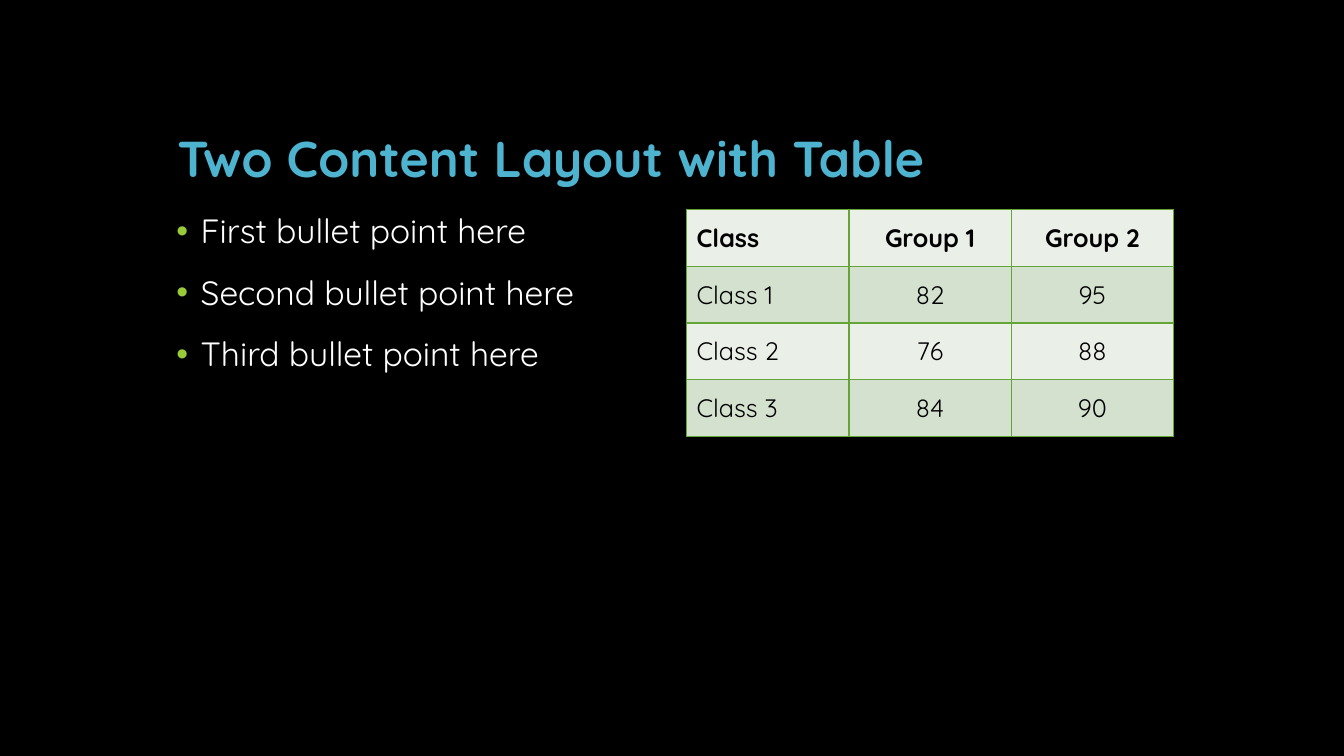
from lxml.etree import SubElement
from pptx import Presentation
from pptx.dml.color import RGBColor
from pptx.enum.text import MSO_ANCHOR as Anchor, MSO_AUTO_SIZE as AutoSize, PP_ALIGN as Align
from pptx.oxml.ns import qn
from pptx.util import Inches, Pt

BORDER = "63A537"
ROW_FILLS = ["EAF0E8", "D3E1CE"]


def paint(fill, color):
    fill.solid()
    fill.fore_color.rgb = RGBColor.from_string(color)


def add_run(paragraph, text, size, color, bold=False):
    run = paragraph.add_run()
    run.text = text
    run.font.name = "Quicksand"
    run.font.size = Pt(size)
    run.font.bold = bold
    paint(run.font.fill, color)


# Slide with a black background
deck = Presentation()
deck.slide_width, deck.slide_height = Inches(13.33), Inches(7.5)
slide = deck.slides.add_slide(deck.slide_layouts[1])
paint(slide.background.fill, "000000")

# Title
title = slide.shapes.title
title.left, title.top = Inches(1.66), Inches(0.42)
title.width, title.height = Inches(10), Inches(1.5)
title.text_frame.auto_size = AutoSize.NONE
title.text_frame.vertical_anchor = Anchor.BOTTOM
heading = title.text_frame.paragraphs[0]
heading.alignment = Align.LEFT
heading.line_spacing = 0.9
add_run(heading, "Two Content Layout with Table", 36, "4EB3CF", bold=True)

# Bullet list
points = slide.placeholders[1]
points.left, points.top = Inches(1.65), Inches(2.08)
points.width, points.height = Inches(4.83), Inches(4.5)
points.text_frame.auto_size = AutoSize.NONE
for i, ordinal in enumerate(["First", "Second", "Third"]):
    point = points.text_frame.add_paragraph() if i else points.text_frame.paragraphs[0]
    point.line_spacing = 0.9
    point.space_before = Pt(18)
    add_run(point, f"{ordinal} bullet point here", 24, "FFFFFF")
    props = point._p.get_or_add_pPr()
    props.set("marL", str(Inches(0.24)))
    props.set("indent", str(-Inches(0.24)))
    bullet_color = SubElement(props, qn("a:buClr"))
    SubElement(bullet_color, qn("a:srgbClr"), val="99CB38")
    SubElement(props, qn("a:buFont"), typeface="Arial")
    SubElement(props, qn("a:buChar"), char="•")

# Score table
scores = [
    ["Class", "Group 1", "Group 2"],
    ["Class 1", "82", "95"],
    ["Class 2", "76", "88"],
    ["Class 3", "84", "90"],
]
table = slide.shapes.add_table(
    len(scores), len(scores[0]), Inches(6.81), Inches(2.08), Inches(4.83), Inches(2.25)
).table
for r, values in enumerate(scores):
    for c, value in enumerate(values):
        cell = table.cell(r, c)
        cell.vertical_anchor = Anchor.MIDDLE
        entry = cell.text_frame.paragraphs[0]
        entry.alignment = Align.CENTER if c else Align.LEFT
        add_run(entry, value, 18, "000000", bold=r == 0)
        # Borders come before the fill in the cell properties
        for side in ["lnL", "lnR", "lnT", "lnB"]:
            edge = SubElement(cell._tc.get_or_add_tcPr(), qn(f"a:{side}"), w=str(Pt(1)))
            SubElement(SubElement(edge, qn("a:solidFill")), qn("a:srgbClr"), val=BORDER)
        paint(cell.fill, ROW_FILLS[r % 2])

deck.save("out.pptx")
